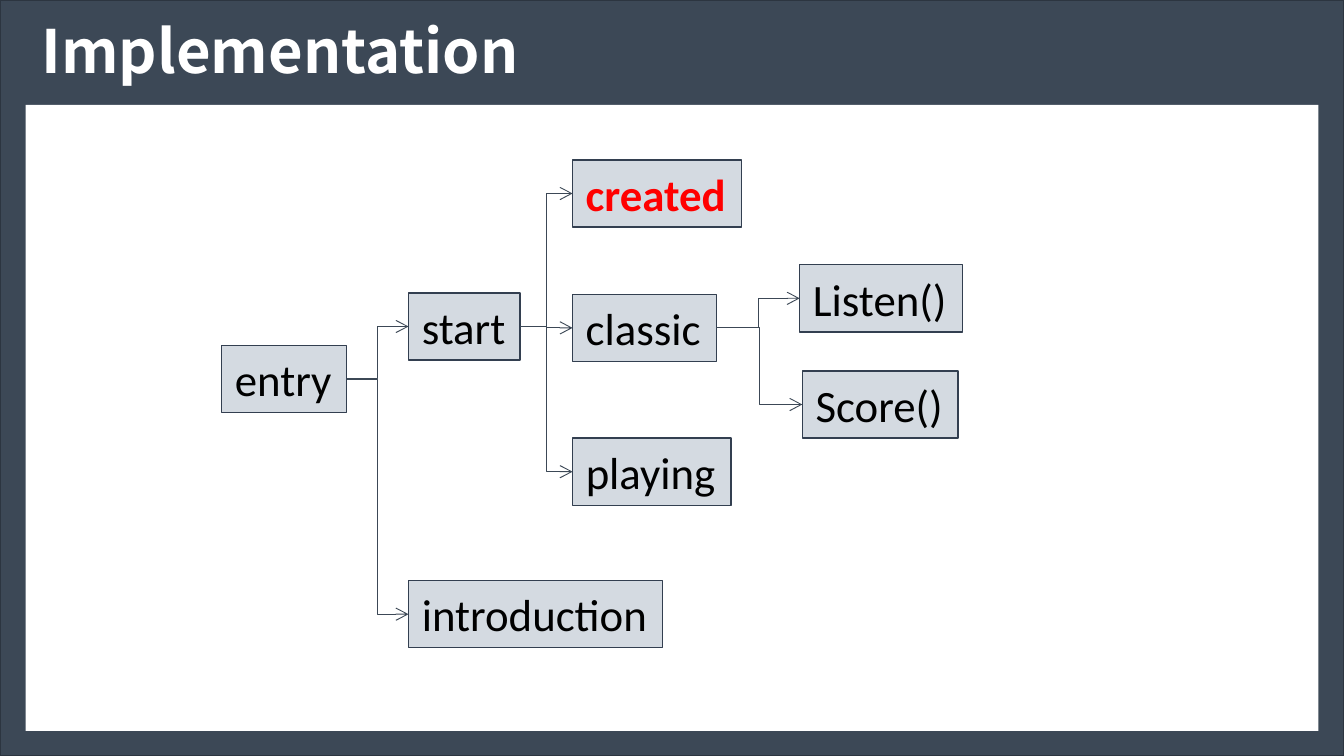
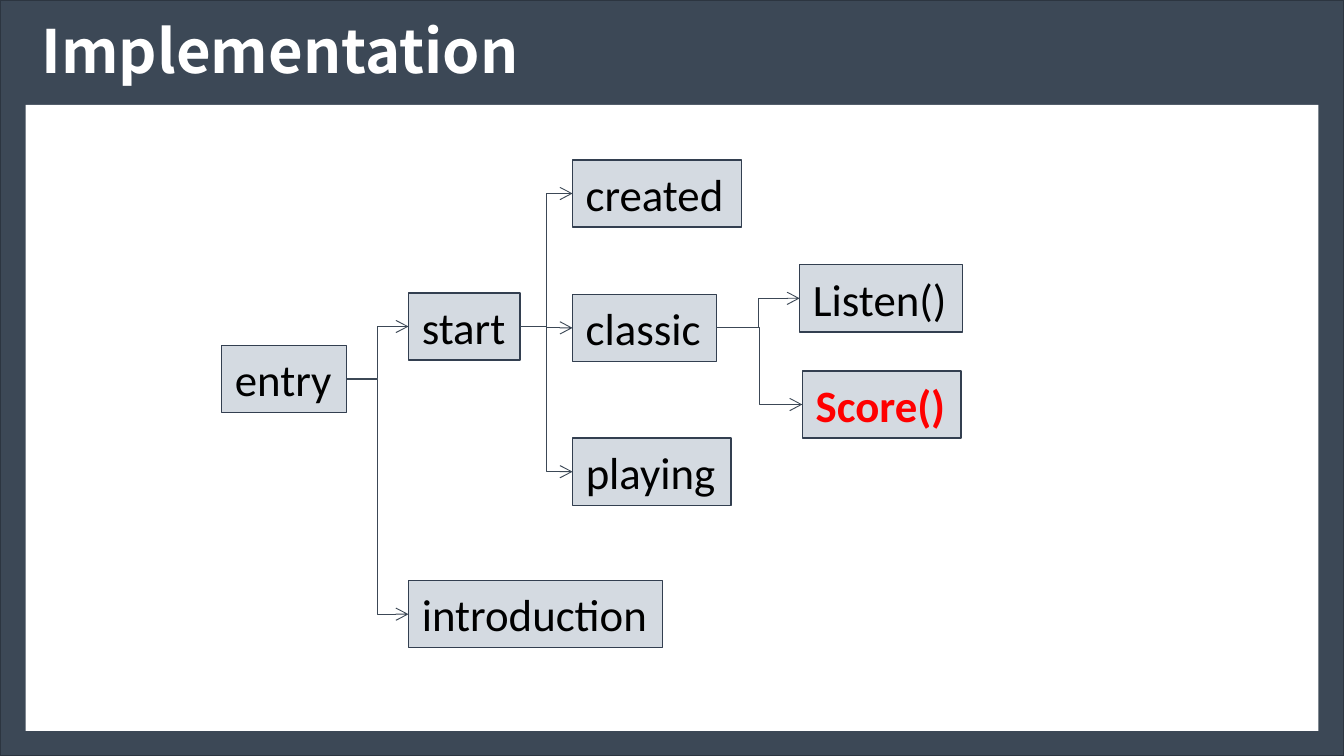
import pptx
import pptx.util
import pptx.dml.color
import pptx.enum.shapes
import pptx.enum.text
import pptx.oxml
import lxml.etree

SLATE = pptx.dml.color.RGBColor(0x3C, 0x48, 0x56)
SLATE_EDGE = pptx.dml.color.RGBColor(0x2C, 0x35, 0x40)
NODE_FILL = pptx.dml.color.RGBColor(0xD4, 0xDA, 0xE1)
NODE_EDGE = pptx.dml.color.RGBColor(0x33, 0x3F, 0x50)
WHITE = pptx.dml.color.RGBColor(0xFF, 0xFF, 0xFF)
BLACK = pptx.dml.color.RGBColor(0x00, 0x00, 0x00)
RED = pptx.dml.color.RGBColor(0xFF, 0x00, 0x00)
TITLE_FONT = "Noto Sans CJK SC"
NODE_FONT = "Calibri"

deck = pptx.Presentation()
deck.slide_width = pptx.util.Inches(10)
deck.slide_height = pptx.util.Inches(5.625)
COLUMN = deck.slide_width / 100
ROW = deck.slide_height / 56.25

NODE_HEIGHT = 5
NODES = {
    "entry": (16.5, 25.7, 9.3),
    "start": (30.4, 21.8, 8.3),
    "introduction": (30.4, 43.2, 18.9),
    "created": (42.6, 11.9, 12.6),
    "classic": (42.6, 21.9, 10.7),
    "playing": (42.6, 32.6, 11.8),
    "Listen()": (59.5, 19.7, 12.1),
    "Score()": (59.7, 27.6, 11.6),
}
BOLD_WIDTHS = {"Score()": 11.8}
CALLS = {
    "entry": ["start", "introduction"],
    "start": ["created", "classic", "playing"],
    "classic": ["Listen()", "Score()"],
}
RIGHT_SIDE, LEFT_SIDE = 3, 1


def place(left, top, width, height):
    return (round(left * COLUMN), round(top * ROW),
            round(width * COLUMN), round(height * ROW))


def write(box, text, font, size, color, bold):
    box.text_frame.text = text
    span = box.text_frame.paragraphs[0].runs[0]
    span.font.name = font
    span.font.size = pptx.util.Pt(size)
    span.font.color.rgb = color
    span.font.bold = bold


for highlight in ["created", "Score()"]:
    page = deck.slides.add_slide(deck.slide_layouts[6])
    rectangle = pptx.enum.shapes.MSO_SHAPE.RECTANGLE

    frame = page.shapes.add_shape(rectangle, *place(0, 0, 100, 56.25))
    frame.shadow.inherit = False
    frame.fill.solid()
    frame.fill.fore_color.rgb = SLATE
    frame.line.color.rgb = SLATE_EDGE
    frame.line.width = pptx.util.Pt(1)

    panel = page.shapes.add_shape(rectangle, *place(1.9, 7.8, 96.2, 46.6))
    panel.shadow.inherit = False
    panel.fill.solid()
    panel.fill.fore_color.rgb = WHITE
    panel.line.fill.background()

    title = page.shapes.add_textbox(*place(2.1, 0.3, 86.2, 7.5))
    title.text_frame.word_wrap = True
    title.text_frame.vertical_anchor = pptx.enum.text.MSO_ANCHOR.MIDDLE
    write(title, "Implementation", TITLE_FONT, 32, WHITE, True)
    title.text_frame.paragraphs[0].line_spacing = 0.9

    boxes = {}
    for name, (left, top, width) in NODES.items():
        active = name == highlight
        if active:
            width = BOLD_WIDTHS.get(name, width)
        box = page.shapes.add_textbox(*place(left, top, width, NODE_HEIGHT))
        box.fill.solid()
        box.fill.fore_color.rgb = NODE_FILL
        box.line.color.rgb = NODE_EDGE
        box.line.width = pptx.util.Pt(0.75)
        box.text_frame.word_wrap = False
        box.text_frame.auto_size = pptx.enum.text.MSO_AUTO_SIZE.SHAPE_TO_FIT_TEXT
        write(box, name, NODE_FONT, 24, RED if active else BLACK, active)
        boxes[name] = box

    for caller, callees in CALLS.items():
        for callee in callees:
            arrow = page.shapes.add_connector(
                pptx.enum.shapes.MSO_CONNECTOR.ELBOW, 0, 0, 0, 0)
            arrow.begin_connect(boxes[caller], RIGHT_SIDE)
            arrow.end_connect(boxes[callee], LEFT_SIDE)
            arrow.line.color.rgb = SLATE
            arrow.line.width = pptx.util.Pt(0.5)
            outline = arrow.line._get_or_add_ln()
            lxml.etree.SubElement(
                outline, pptx.oxml.ns.qn("a:tailEnd"), type="arrow")
            lxml.etree.SubElement(
                arrow._element.spPr, pptx.oxml.ns.qn("a:effectLst"))

deck.save("out.pptx")
